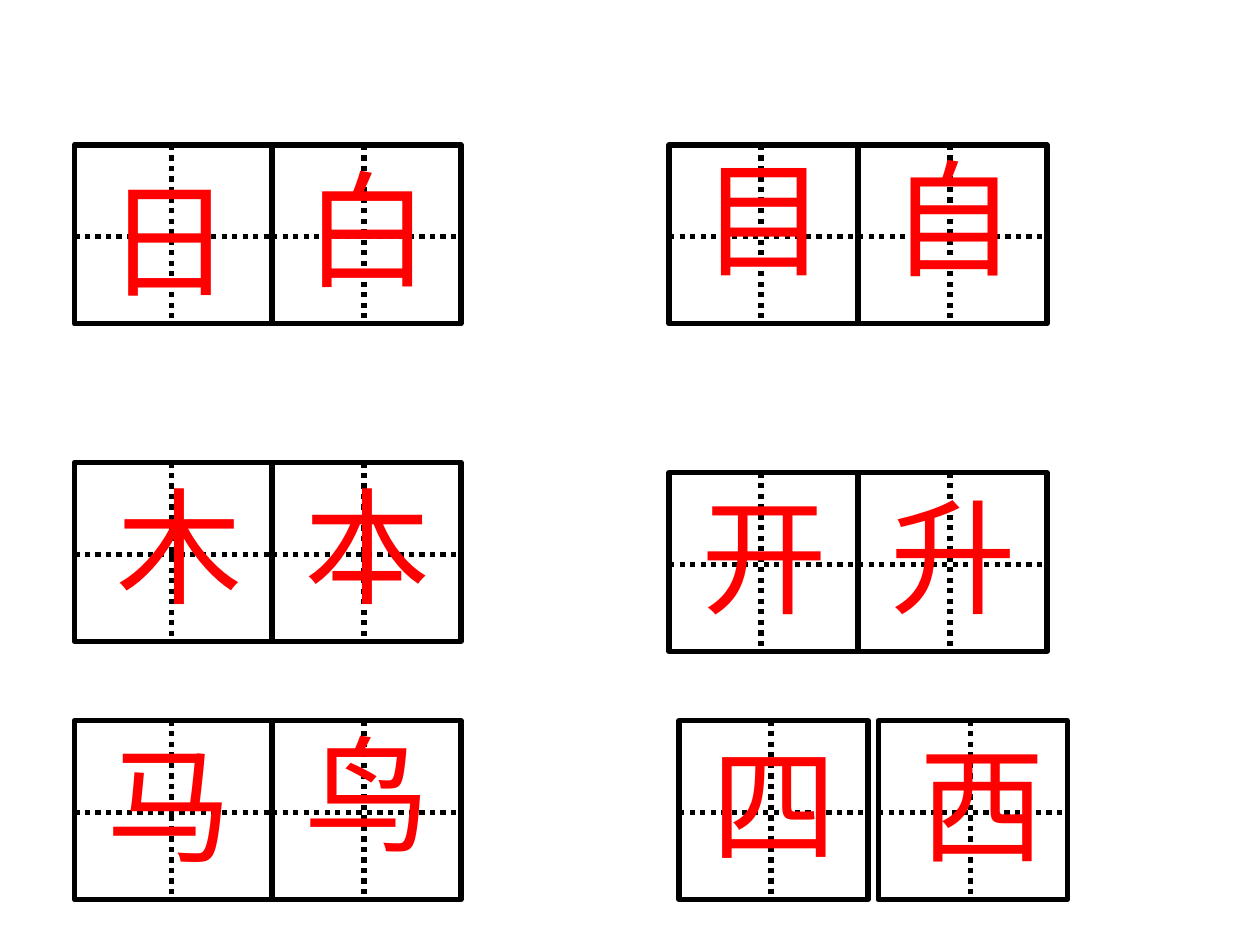
from dataclasses import dataclass

from pptx import Presentation
from pptx.dml.color import RGBColor
from pptx.enum.dml import MSO_LINE
from pptx.enum.shapes import MSO_CONNECTOR, MSO_SHAPE
from pptx.enum.text import MSO_AUTO_SIZE
from pptx.oxml.ns import qn
from pptx.shapes.group import GroupShape
from pptx.slide import Slide
from pptx.util import Inches, Pt
from lxml.etree import SubElement

BLACK = RGBColor(0x00, 0x00, 0x00)
WHITE = RGBColor(0xFF, 0xFF, 0xFF)
RED = RGBColor(0xFF, 0x00, 0x00)

CELL_W, WIDE_W, CELL_H = 1.5, 1.57, 1.42
GUIDE_X, WIDE_GUIDE_X, GUIDE_Y = 0.73, 0.77, 0.73
TEXT_H = 1.3
LEFT_X, LEFT_X2 = 0.59, 2.16
RIGHT_X, RIGHT_X2 = 5.31, 6.81
ROW_1, ROW_2, ROW_2_RIGHT, ROW_3 = 1.15, 3.67, 3.75, 5.72


@dataclass(frozen=True)
class Cell:
    char: str
    x: float
    y: float
    text_w: float
    dx: float = 0.16
    dy: float = 0
    w: float = CELL_W
    guide_x: float = GUIDE_X


def wide_cell(char: str, y: float, text_w: float, dx: float = 0.16, dy: float = 0) -> Cell:
    return Cell(char, LEFT_X, y, text_w, dx, dy, WIDE_W, WIDE_GUIDE_X)


CELLS = [
    wide_cell("日", ROW_1, 0.87, dy=0.08),
    Cell("白", LEFT_X2, ROW_1, 0.94),
    Cell("目", RIGHT_X, ROW_1, 0.95, dy=-0.08),
    Cell("自", RIGHT_X2, ROW_1, 0.71, dy=-0.08),
    wide_cell("木", ROW_2, 1.1, dx=0.24),
    Cell("本", LEFT_X2, ROW_2, 0.79),
    Cell("开", RIGHT_X, ROW_2_RIGHT, 0.94),
    Cell("升", RIGHT_X2, ROW_2_RIGHT, 1.18),
    wide_cell("马", ROW_3, 1.02),
    Cell("鸟", LEFT_X2, ROW_3, 0.86, dy=-0.08),
    Cell("四", 5.39, ROW_3, 0.79),
    Cell("西", 6.97, ROW_3, 0.63, dx=0.23),
]


def add_guide(group: GroupShape, x1: float, y1: float, x2: float, y2: float) -> None:
    line = group.shapes.add_connector(
        MSO_CONNECTOR.STRAIGHT, Inches(x1), Inches(y1), Inches(x2), Inches(y2))
    line.line.color.rgb = BLACK
    line.line.width = Pt(3)
    line.line.dash_style = MSO_LINE.ROUND_DOT
    SubElement(line._element.spPr, qn("a:effectLst"))


def add_cell(s: Slide, cell: Cell) -> None:
    group = s.shapes.add_group_shape()
    sp = group.shapes.add_shape(
        MSO_SHAPE.RECTANGLE, Inches(cell.x), Inches(cell.y), Inches(cell.w), Inches(CELL_H))
    sp.shadow.inherit = False
    sp.fill.solid()
    sp.fill.fore_color.rgb = WHITE
    sp.line.color.rgb = BLACK
    sp.line.width = Pt(3)
    guide_x, guide_y = cell.x + cell.guide_x, cell.y + GUIDE_Y
    add_guide(group, guide_x, cell.y, guide_x, cell.y + CELL_H)
    add_guide(group, cell.x, guide_y, cell.x + cell.w, guide_y)


def add_text(s: Slide, text: str, x: float, y: float, w: float, h: float, *,
             size: float = 72, font: str = "Arial", color: RGBColor = RED) -> None:
    sp = s.shapes.add_textbox(Inches(x), Inches(y), Inches(w), Inches(h))
    tf = sp.text_frame
    tf.word_wrap = True
    tf.auto_size = MSO_AUTO_SIZE.SHAPE_TO_FIT_TEXT
    r = tf.paragraphs[0].add_run()
    r.text = text
    r.font.size = Pt(size)
    r.font.name = font
    r.font.color.rgb = color


def main() -> None:
    prs = Presentation()
    prs.slide_width, prs.slide_height = Inches(10), Inches(7.5)
    s = prs.slides.add_slide(prs.slide_layouts[6])
    for cell in CELLS:
        add_cell(s, cell)
    for cell in CELLS:
        add_text(s, cell.char, cell.x + cell.dx, cell.y + cell.dy, cell.text_w, TEXT_H)
    prs.save("out.pptx")


if __name__ == "__main__":
    main()
